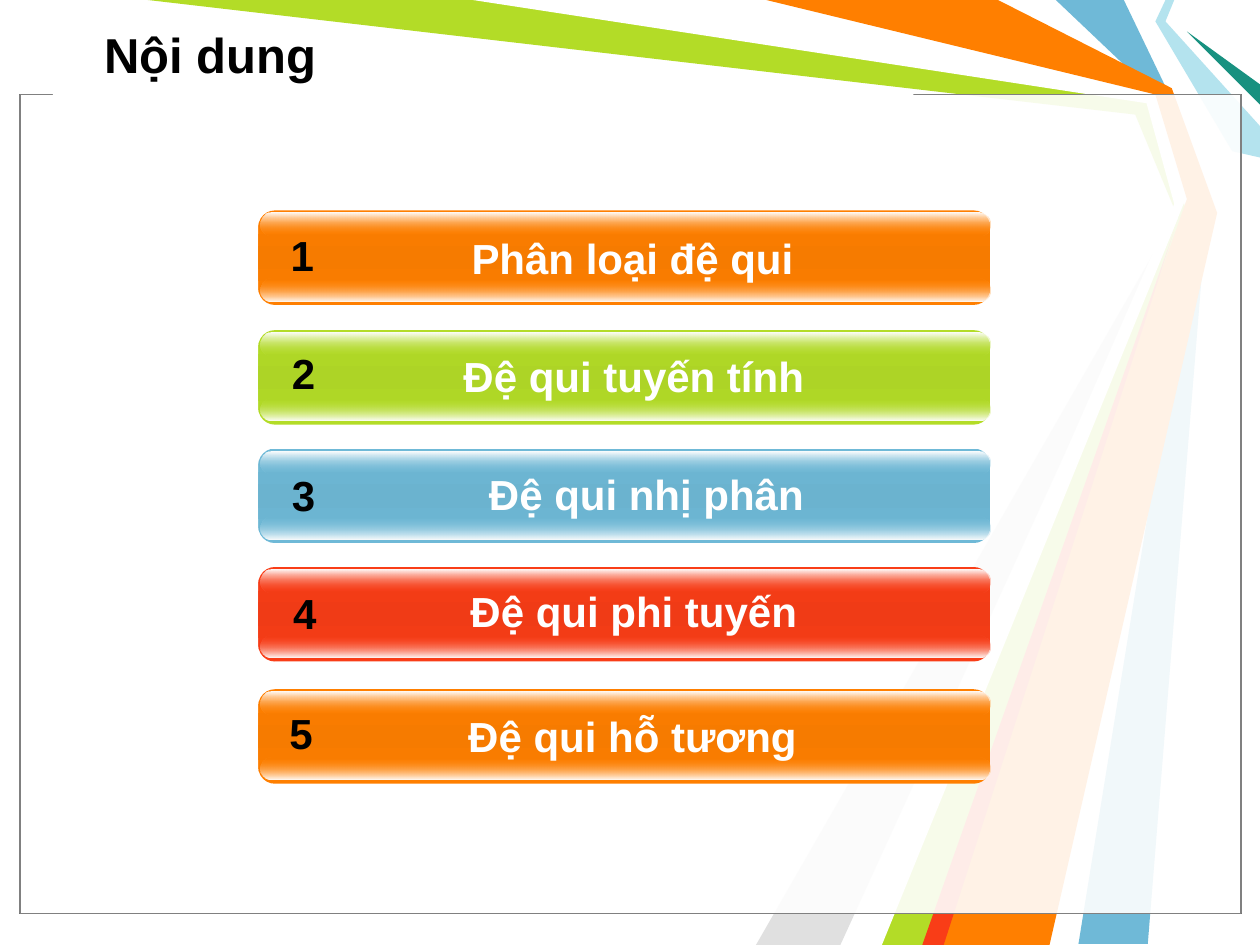
"""Build the "Nội dung" agenda slide: five glossy bars over a ribbon backdrop."""
from lxml import etree
from pptx import Presentation
from pptx.dml.color import RGBColor
from pptx.enum.shapes import MSO_SHAPE
from pptx.enum.text import MSO_ANCHOR, PP_ALIGN
from pptx.oxml.ns import qn
from pptx.util import Inches, Pt

THEME = {
    "font": "Arial", "title": Pt(28), "label": Pt(24),
    "black": "000000", "white": "FFFFFF", "frame": "808080",
    "blue": "6FB9D7", "green": "B3DC27", "grey": "E0E0E0", "pale": "B4E3EE",
    "teal": "189180", "orange": "FF7F00", "red": "F93D17",
    "orange_mid": "F67B00", "green_mid": "ADD426", "blue_mid": "6BB3CF", "red_mid": "F03B16",
}


def add_bar_layer(shapes, box, corner, stops):
    s = shapes.add_shape(MSO_SHAPE.ROUNDED_RECTANGLE, *map(Inches, box))
    s.adjustments[0] = corner
    s.shadow.inherit = False
    s.line.fill.background()
    s.fill.gradient()
    s.fill.gradient_angle = 270
    gs_lst = s._element.spPr.find(".//" + qn("a:gsLst"))
    for gs in list(gs_lst):
        gs_lst.remove(gs)
    for pos, color, opacity in stops:
        gs = etree.SubElement(gs_lst, qn("a:gs"), pos=str(pos * 1000))
        clr = etree.SubElement(gs, qn("a:srgbClr"), val=THEME[color])
        if opacity < 100:
            etree.SubElement(clr, qn("a:alpha"), val=str(opacity * 1000))


def add_text(box, text, size, color, align, anchor):
    tf = slide.shapes.add_textbox(*map(Inches, box)).text_frame
    tf.word_wrap = True
    tf.vertical_anchor = anchor
    p = tf.paragraphs[0]
    p.alignment = align
    r = p.add_run()
    r.text = text
    for name, value in {"name": THEME["font"], "size": THEME[size], "bold": True}.items():
        setattr(r.font, name, value)
    r.font.color.rgb = RGBColor.from_string(THEME[color])


prs = Presentation()
prs.slide_width, prs.slide_height = Inches(10), Inches(7.5)
slide = prs.slides.add_slide(prs.slide_layouts[6])

ribbons = [
    ("blue", [(8.92, 0), (9.29, 0.77), (9.58, 1.67), (9.11, 7.49), (8.56, 7.49),
              (9.5, 1.67), (9.17, 0.75), (8.38, 0)]),
    ("green", [(1.17, 0), (3.83, 0), (9.14, 0.78), (9.42, 1.69), (7.42, 7.5),
               (6.92, 7.5), (9.35, 1.73), (9.01, 0.91)]),
    ("grey", [(6.67, 7.5), (9.27, 1.81), (6, 7.5)]),
    ("white", [(3.75, 0), (9.1, 0.82), (9.32, 1.62), (6.75, 7.5), (7, 7.5),
               (9.41, 1.58), (9.17, 0.75), (6, 0)]),
    ("pale", [(9.25, 0), (9.17, 0.17), (9.78, 1.2), (10, 1.25), (10, 1),
              (9.25, 0.17), (9.32, 0)]),
    ("teal", [(10, 0.83), (9.42, 0.25), (10, 0.67)]),
    ("orange", [(6.08, 0), (7.92, 0), (9.3, 0.7), (9.66, 1.69), (8.33, 7.5),
                (7.33, 7.5), (9.42, 1.58), (9.17, 0.75)]),
    ("red", [(7.32, 7.5), (9.32, 1.83), (7.49, 7.5)]),
]
for color, points in ribbons:
    start, *rest = [(Inches(x), Inches(y)) for x, y in points]
    builder = slide.shapes.build_freeform(*start)
    builder.add_line_segments(rest, close=True)
    s = builder.convert_to_shape()
    s.shadow.inherit = False
    s.fill.solid()
    s.fill.fore_color.rgb = RGBColor.from_string(THEME[color])
    s.line.fill.background()

frame = (0.16, 0.75, 9.69, 6.5)
title_gap = (0.42, 0.74, 6.83, 0.17)
for box, opacity, outline in [(frame, 69, "black"), (frame, 69, "frame"), (title_gap, 100, None)]:
    s = slide.shapes.add_shape(MSO_SHAPE.RECTANGLE, *map(Inches, box))
    s.shadow.inherit = False
    s.fill.solid()
    s.fill.fore_color.rgb = RGBColor.from_string(THEME["white"])
    if opacity < 100:
        clr = s._element.spPr.find(".//" + qn("a:srgbClr"))
        etree.SubElement(clr, qn("a:alpha"), val=str(opacity * 1000))
    if outline:
        s.line.color.rgb = RGBColor.from_string(THEME[outline])
        s.line.width = Pt(0.75)
    else:
        s.line.fill.background()

add_text((0.73, 0.08, 9.11, 0.69), "Nội dung", "title", "black", PP_ALIGN.LEFT, MSO_ANCHOR.MIDDLE)

agenda = [
    ("Phân loại đệ qui", "orange", 1.67, (2.56, 1.8), (2.19, 1.77)),
    ("Đệ qui tuyến tính", "green", 2.62, (2.57, 2.73), (2.2, 2.71)),
    ("Đệ qui nhị phân", "blue", 3.56, (2.67, 3.67), (2.2, 3.68)),
    ("Đệ qui phi tuyến", "red", 4.5, (2.57, 4.6), (2.21, 4.61)),
    ("Đệ qui hỗ tương", "orange", 5.47, (2.56, 5.59), (2.18, 5.57)),
]
for number, (topic, color, top, topic_at, number_at) in enumerate(agenda, 1):
    bar = slide.shapes.add_group_shape().shapes
    add_bar_layer(bar, (2.05, top, 5.81, 0.75), 0.175,
                  [(0, color, 100), (50, color + "_mid", 100), (100, color, 100)])
    add_bar_layer(bar, (2.07, top + 0.54, 5.79, 0.18), 0.5, [(0, color, 0), (100, "white", 100)])
    add_bar_layer(bar, (2.07, top + 0.02, 5.79, 0.18), 0.5, [(0, "white", 100), (100, color, 0)])
    for at, width, text, ink in [(topic_at, 4.92, topic, "white"),
                                 (number_at, 0.42, str(number), "black")]:
        add_text((*at, width, 0.5), text, "label", ink, PP_ALIGN.CENTER, MSO_ANCHOR.TOP)

prs.save("out.pptx")
